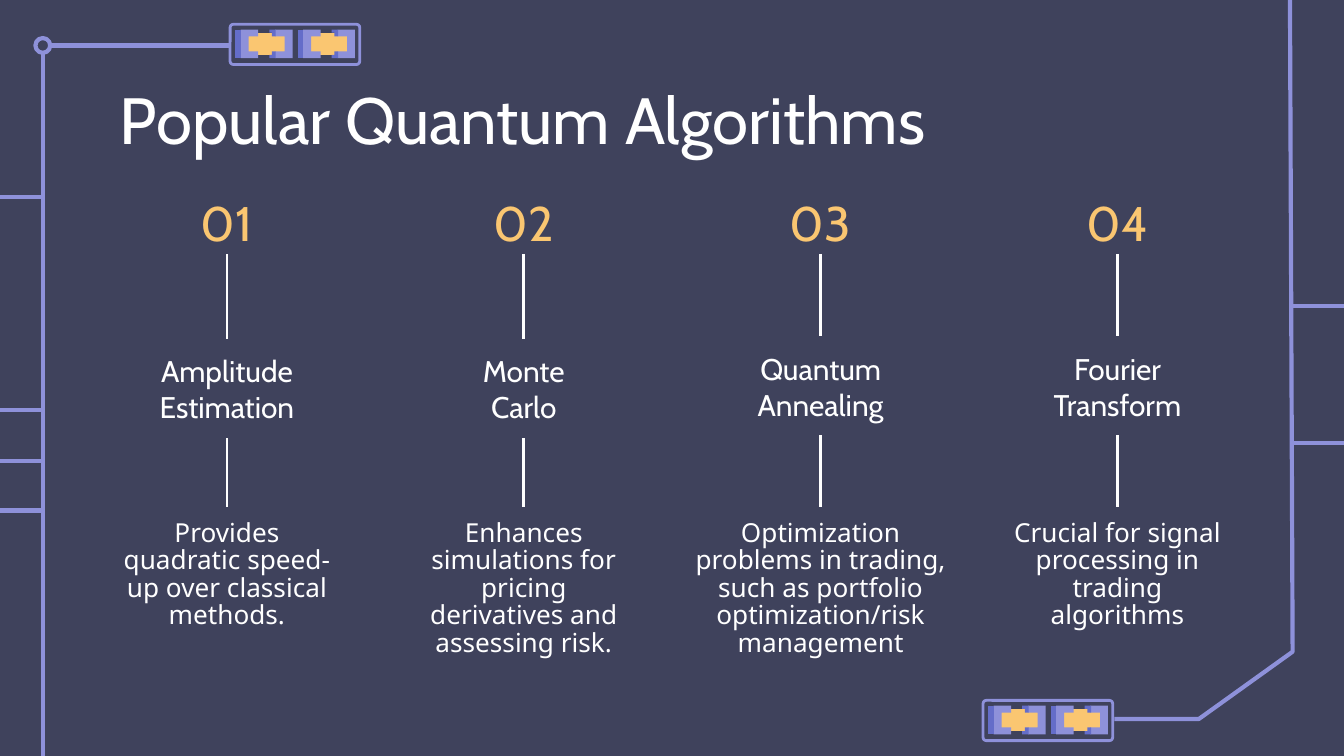
from pptx import Presentation
from pptx import util as u
from pptx.dml.color import RGBColor
from pptx.enum import shapes, text
from pptx.oxml.ns import qn
from lxml import etree

# Content: number, algorithm, benefit; heading box top and width, benefit width (cm)
TITLE = "Popular Quantum Algorithms"
ALGORITHMS = [
    ("01", "Amplitude Estimation",
     "Provides quadratic speed-up over classical methods.", 6.4, 3.33, 4.57),
    ("02", "Monte Carlo",
     "Enhances simulations for pricing derivatives and assessing risk.", 6.4, 3.33, 4.57),
    ("03", "Quantum Annealing",
     "Optimization problems in trading, such as portfolio optimization/risk management",
     6.35, 4.57, 5.56),
    ("04", "Fourier Transform",
     "Crucial for signal processing in trading algorithms", 6.35, 4.57, 4.57),
]

# Look
NAVY, LILAC, INDIGO, AMBER, WHITE = "3F425C", "8E91DA", "646DC9", "FAC671", "FFFFFF"
DISPLAY, BODY = "Cabin", "Noto Sans"

# Circuit decoration (cm)
SLIDE_W, SLIDE_H = 25.4, 14.29
LEFT_X, RIGHT_X, TOP_Y = 0.81, 24.38, 0.86
TRACES = [
    [(21.06, 13.59), (22.66, 13.59), (24.43, 12.32), (RIGHT_X, 0)],
    [(LEFT_X, SLIDE_H), (LEFT_X, TOP_Y), (4.34, TOP_Y)],
]
LEFT_STUBS = [9.65, 8.71, 7.75, 3.73]
RIGHT_STUBS = [8.38, 5.79]
CHIPS = [(4.32, 0.43), (18.55, 13.21)]

# One chip cell, drawn twice per chip
CELL_PITCH, CELL_W, CELL_H = 1.18, 1.18, 0.54
BRACKET = [(0.1, 0), (0.1, 0.54), (0.43, 0.54), (0.43, 0.41),
           (0.25, 0.41), (0.25, 0.13), (0.43, 0.13), (0.43, 0)]
CORNER = [(0.64, 0), (0.64, 0.06), (0.69, 0.06), (0.69, 0.13), (0.76, 0.13), (0.76, 0)]
CELL = [
    (AMBER, [(0.18, 0.06), (0.18, 0.48), (1.01, 0.48), (1.01, 0.06)]),
    (LILAC, BRACKET),
    (LILAC, [(CELL_W - x, y) for x, y in BRACKET]),
    (INDIGO, [(0, 0), (0, 0.54), (0.1, 0.54), (0.1, 0)]),
    (INDIGO, CORNER),
    (INDIGO, [(x, CELL_H - y) for x, y in CORNER]),
]

prs = Presentation()
prs.slide_width, prs.slide_height = u.Cm(SLIDE_W), u.Cm(SLIDE_H)
slide = prs.slides.add_slide(prs.slide_layouts[6])


def paint(fill, color):
    fill.solid()
    fill.fore_color.rgb = RGBColor.from_string(color)


def style(shape, fill=None, line=None, width=2.25):
    shape.shadow.inherit = False
    if fill:
        paint(shape.fill, fill)
    else:
        shape.fill.background()
    if line:
        paint(shape.line.fill, line)
        shape.line.width = u.Pt(width)
    else:
        shape.line.fill.background()


def outline(points, close, **look):
    corners = [(u.Cm(x), u.Cm(y)) for x, y in points]
    builder = slide.shapes.build_freeform(*corners[0])
    builder.add_line_segments(corners[1:], close=close)
    style(builder.convert_to_shape(), **look)


def connect(x1, y1, x2, y2, color, width):
    line = slide.shapes.add_connector(
        shapes.MSO_CONNECTOR.STRAIGHT, u.Cm(x1), u.Cm(y1), u.Cm(x2), u.Cm(y2))
    paint(line.line.fill, color)
    line.line.width = u.Pt(width)
    etree.SubElement(line._element.spPr, qn("a:effectLst"))


def write(words, x, y, w, h, size, font=DISPLAY, color=WHITE, anchor="TOP",
          align="CENTER", spacing=1.0):
    frame = slide.shapes.add_textbox(u.Cm(x), u.Cm(y), u.Cm(w), u.Cm(h)).text_frame
    frame.word_wrap = True
    frame.vertical_anchor = text.MSO_ANCHOR[anchor]
    frame.margin_left = frame.margin_right = u.Cm(0.25)
    frame.margin_top = frame.margin_bottom = u.Cm(0.25)
    paragraph = frame.paragraphs[0]
    paragraph.text = words
    paragraph.alignment = text.PP_ALIGN[align]
    paragraph.line_spacing = spacing
    paragraph.font.size = u.Pt(size)
    paragraph.font.name = font
    paragraph.font.color.rgb = RGBColor.from_string(color)


def draw_chip(left, top):
    for i in range(2):
        cell_x, cell_y = left + 0.13 + i * CELL_PITCH, top + 0.13
        for color, points in CELL:
            outline([(cell_x + x, cell_y + y) for x, y in points], True, fill=color)
    casing = slide.shapes.add_shape(
        shapes.MSO_SHAPE.ROUNDED_RECTANGLE,
        u.Cm(left + 0.03), u.Cm(top + 0.03), u.Cm(2.45), u.Cm(0.76))
    casing.adjustments[0] = 0.08
    style(casing, line=LILAC, width=1.5)


# Background and circuit
paint(slide.background.fill, NAVY)
for trace in TRACES:
    outline(trace, False, line=LILAC)
for y in LEFT_STUBS:
    connect(LEFT_X, y, 0, y, LILAC, 2.25)
for y in RIGHT_STUBS:
    connect(SLIDE_W, y, RIGHT_X, y, LILAC, 2.25)
for chip in CHIPS:
    draw_chip(*chip)
ring = slide.shapes.add_shape(
    shapes.MSO_SHAPE.OVAL, u.Cm(LEFT_X - 0.14), u.Cm(TOP_Y - 0.14), u.Cm(0.28), u.Cm(0.28))
style(ring, fill=NAVY, line=LILAC)

# Title
write(TITLE, 2.01, 1.24, 21.41, 1.6, 35, align="LEFT")

# Algorithm columns, each centred on its own axis
FIRST_AXIS, AXIS_STEP = 4.29, 5.61
HEADING_H, BENEFIT_TOP = 1.88, 9.58
for i, (number, name, benefit, name_top, name_w, benefit_w) in enumerate(ALGORITHMS):
    axis = FIRST_AXIS + i * AXIS_STEP
    write(number, axis - 0.93, 3.56, 1.86, 1.27, 26, color=AMBER, anchor="MIDDLE")
    write(name, axis - name_w / 2, name_top, name_w, HEADING_H, 16, anchor="BOTTOM")
    write(benefit, axis - benefit_w / 2, BENEFIT_TOP, benefit_w, 2.79, 14,
          font=BODY, spacing=0.88)
    connect(axis, 4.8, axis, name_top, WHITE, 1.5)
    connect(axis, name_top + HEADING_H, axis, BENEFIT_TOP, WHITE, 1.5)

prs.save("out.pptx")
